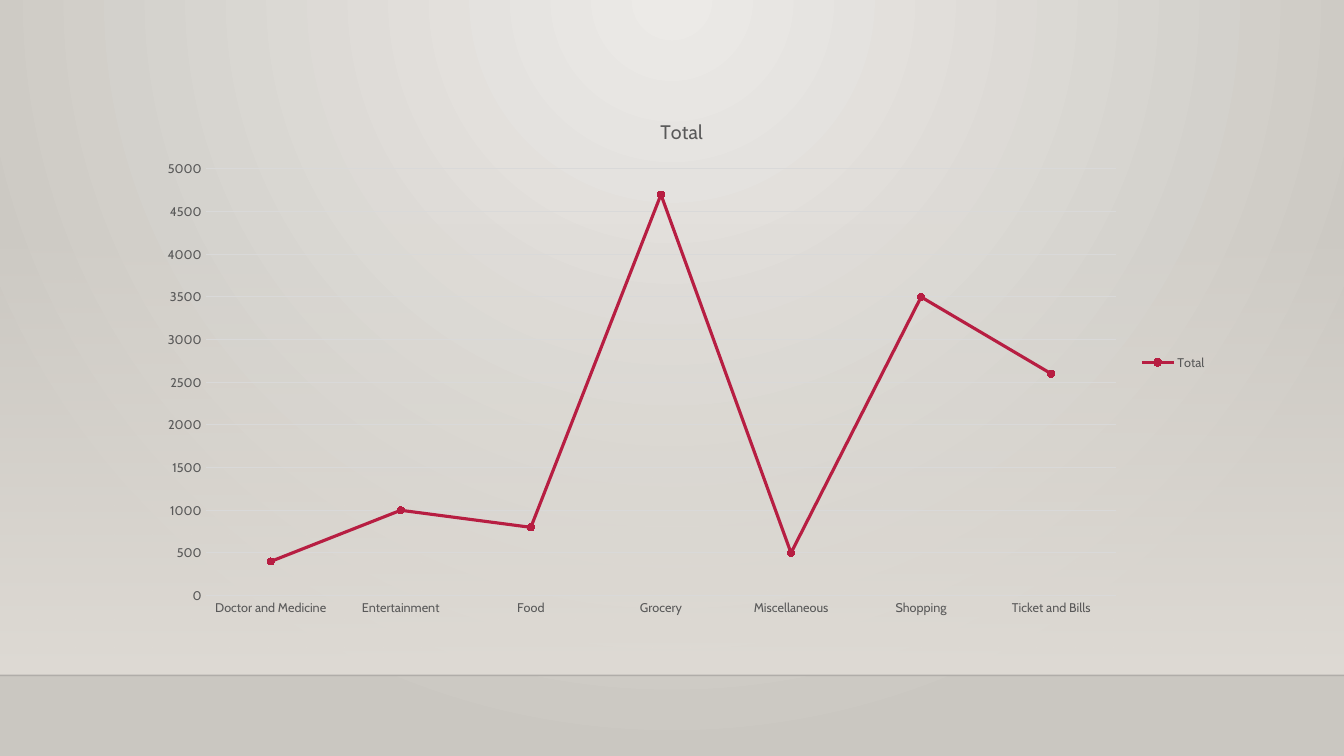
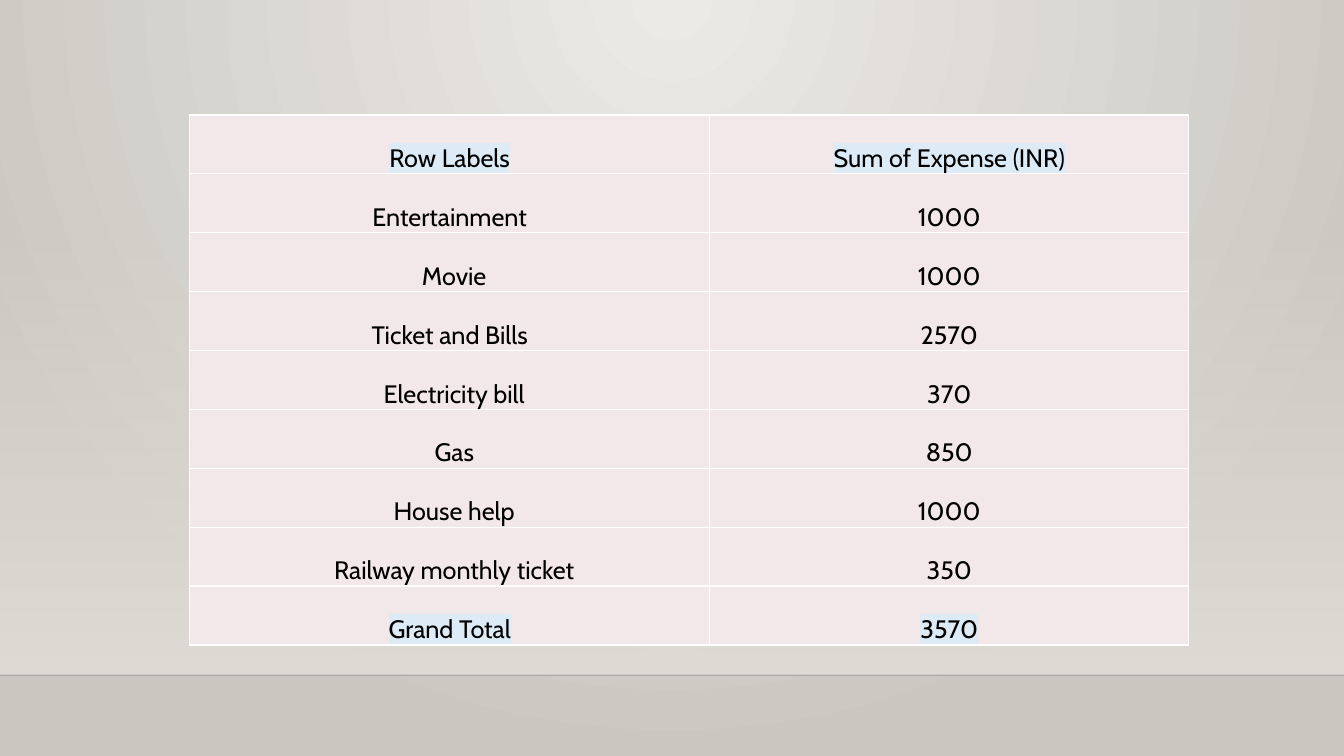
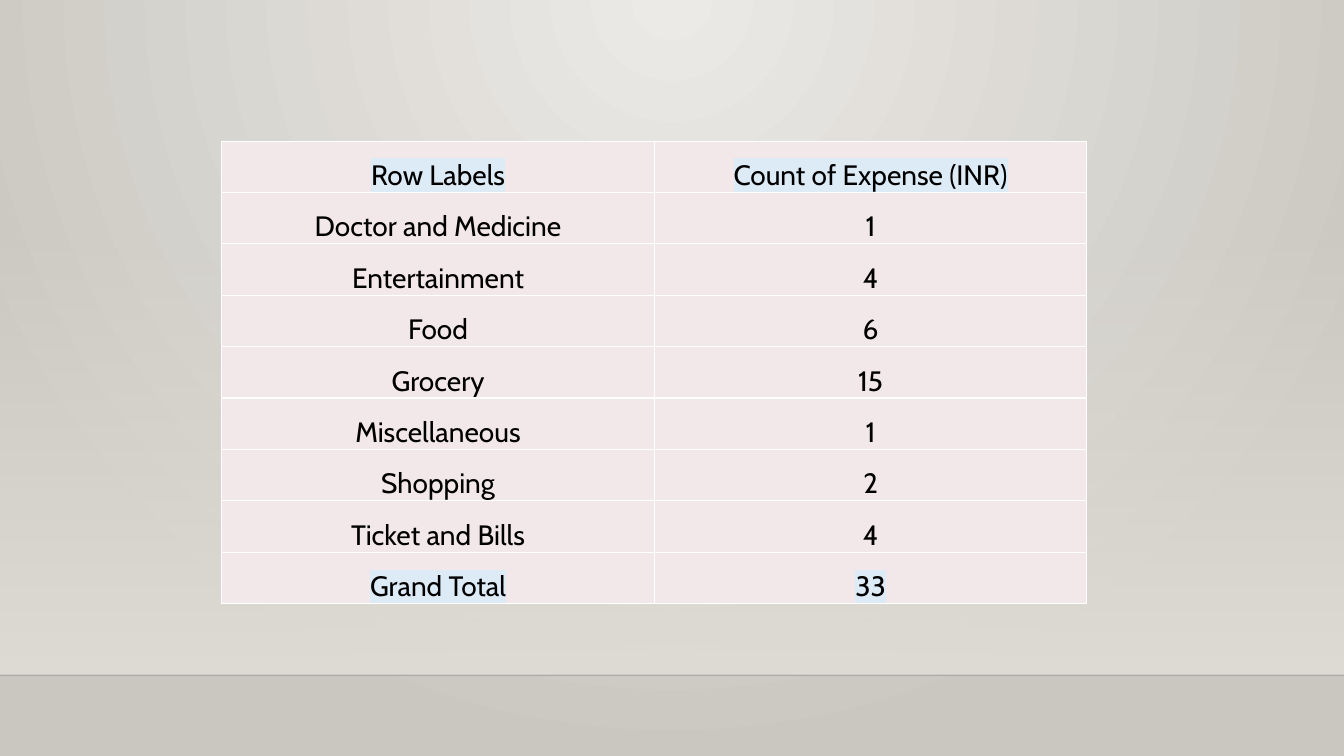
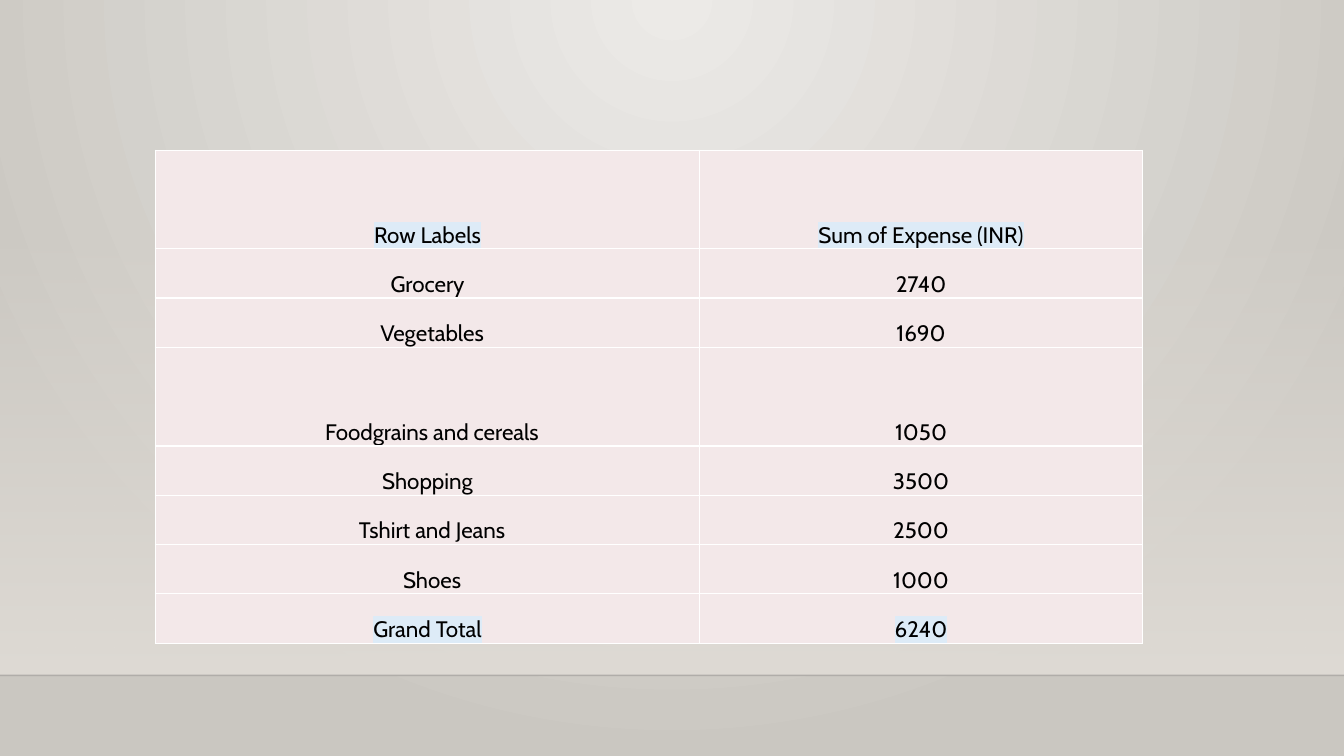
from pptx import Presentation
from pptx.chart.data import CategoryChartData
from pptx.dml.color import RGBColor
from pptx.enum.chart import XL_CHART_TYPE, XL_LEGEND_POSITION, XL_MARKER_STYLE, XL_TICK_MARK
from pptx.enum.shapes import MSO_CONNECTOR, MSO_SHAPE
from pptx.enum.text import MSO_ANCHOR, PP_ALIGN
from pptx.oxml import parse_xml
from pptx.oxml.ns import nsdecls
from pptx.util import Inches, Pt

LINE_MARKERS = XL_CHART_TYPE.LINE_MARKERS
LEGEND_RIGHT = XL_LEGEND_POSITION.RIGHT
CIRCLE = XL_MARKER_STYLE.CIRCLE
NO_TICK = XL_TICK_MARK.NONE
STRAIGHT = MSO_CONNECTOR.STRAIGHT
RECTANGLE = MSO_SHAPE.RECTANGLE
BOTTOM = MSO_ANCHOR.BOTTOM
CENTER = PP_ALIGN.CENTER

FONT = "Cabin"
COLORS = {
    "glow": "ECEAE7",
    "wall": "CAC7C1",
    "haze": "DFDBD5",
    "floor_line": "000001",
    "text": "000000",
    "muted": "595959",
    "grid": "D9D9D9",
    "accent": "B71E42",
    "cell": "F3E8E9",
    "border": "FFFFFF",
    "highlight": "DDEBF7",
}
WIDTH, HEIGHT = 13.33, 7.5
FLOOR, HAZE_TOP = 6.7, 2.21
CELL_MARGIN, INDENT = 0.01, 0.1

RADIAL = '<a:path path="circle"><a:fillToRect l="43000" t="0" r="43000" b="100000"/></a:path>'
DOWNWARD = '<a:lin ang="5400000" scaled="0"/>'


def rgb(name):
    return RGBColor.from_string(COLORS[name])


def set_font(font, size, color):
    font.name = FONT
    font.size = Pt(size)
    font.bold = False
    font.color.rgb = rgb(color)


def set_line(line, color, width):
    line.color.rgb = rgb(color)
    line.width = Pt(width)


def set_gradient(fill, owner, start, end, direction, start_alpha=100):
    """Fill with a two-stop gradient; owner is the element that holds the fill."""
    fill.solid()
    solid = owner.xpath(".//a:solidFill")[0]
    solid.getparent().replace(solid, parse_xml(
        f'<a:gradFill {nsdecls("a")} rotWithShape="1"><a:gsLst>'
        f'<a:gs pos="0"><a:srgbClr val="{COLORS[start]}">'
        f'<a:alpha val="{start_alpha * 1000}"/></a:srgbClr></a:gs>'
        f'<a:gs pos="100000"><a:srgbClr val="{COLORS[end]}"/></a:gs>'
        f'</a:gsLst>{direction}</a:gradFill>'))


def move_to_master(shape, master):
    tree = master.element.cSld.spTree
    next_id = 1 + max(int(i) for i in tree.xpath(".//p:cNvPr/@id"))
    shape.element.xpath(".//p:cNvPr")[0].set("id", str(next_id))
    tree.append(shape.element)


def build_master(master, slide):
    """Give the master its background, haze and floor line, drawn by way of a slide."""
    set_gradient(master.background.fill, master.element.cSld.bg, "glow", "wall", RADIAL)

    haze = slide.shapes.add_shape(RECTANGLE, 0, Inches(HAZE_TOP), Inches(WIDTH),
                                  Inches(FLOOR - HAZE_TOP))
    haze.shadow.inherit = False
    set_gradient(haze.fill, haze.element, "haze", "haze", DOWNWARD, start_alpha=0)
    haze.line.fill.background()

    floor = slide.shapes.add_connector(STRAIGHT, 0, Inches(FLOOR), Inches(WIDTH), Inches(FLOOR))
    set_line(floor.line, "floor_line", 1)
    floor.element.xpath(".//a:ln//a:srgbClr")[0].append(
        parse_xml(f'<a:alpha {nsdecls("a")} val="20000"/>'))
    floor.element.spPr.append(parse_xml(f'<a:effectLst {nsdecls("a")}/>'))

    for shape in (haze, floor):
        move_to_master(shape, master)


def style_axis(axis):
    axis.major_tick_mark = NO_TICK
    axis.minor_tick_mark = NO_TICK
    set_font(axis.tick_labels.font, 9, "muted")


def add_line_chart(slide, box, title, values):
    data = CategoryChartData()
    data.categories = list(values)
    data.add_series(title, values.values())
    chart = slide.shapes.add_chart(LINE_MARKERS, *map(Inches, box), data).chart
    set_font(chart.font, 10, "text")

    chart.has_title = True
    p = chart.chart_title.text_frame.paragraphs[0]
    p.text = title
    set_font(p.font, 14, "muted")
    chart.chart_title.include_in_layout = False

    chart.has_legend = True
    chart.legend.position = LEGEND_RIGHT
    chart.legend.include_in_layout = False
    set_font(chart.legend.font, 9, "muted")

    style_axis(chart.category_axis)
    set_line(chart.category_axis.format.line, "grid", 0.75)
    value_axis = chart.value_axis
    style_axis(value_axis)
    value_axis.minimum_scale, value_axis.maximum_scale, value_axis.major_unit = 0, 5000, 500
    value_axis.format.line.fill.background()
    set_line(value_axis.major_gridlines.format.line, "grid", 0.75)

    plot = chart.plots[0]
    plot.vary_by_categories = False
    series = plot.series[0]
    series.smooth = False
    set_line(series.format.line, "accent", 2.25)
    series.marker.style = CIRCLE
    series.marker.size = 5
    series.marker.format.fill.solid()
    series.marker.format.fill.fore_color.rgb = rgb("accent")
    set_line(series.marker.format.line, "accent", 0.75)


def set_borders(cell):
    tc_pr = cell._tc.get_or_add_tcPr()
    for side in "LRTB":
        tc_pr.append(parse_xml(
            f'<a:ln{side} {nsdecls("a")} w="{Pt(1)}"><a:solidFill>'
            f'<a:srgbClr val="{COLORS["border"]}"/></a:solidFill></a:ln{side}>'))


def fill_cell(cell, text, size, indented, highlighted):
    set_borders(cell)
    cell.fill.solid()
    cell.fill.fore_color.rgb = rgb("cell")
    cell.vertical_anchor = BOTTOM
    cell.margin_left = Inches(INDENT if indented else CELL_MARGIN)
    cell.margin_right = cell.margin_top = Inches(CELL_MARGIN)
    cell.margin_bottom = 0
    p = cell.text_frame.paragraphs[0]
    p.alignment = CENTER
    set_font(p.font, size, "text")
    r = p.add_run()
    r.text = text
    if highlighted:
        r.font._element.append(parse_xml(
            f'<a:highlight {nsdecls("a")}><a:srgbClr val="{COLORS["highlight"]}"/></a:highlight>'))


def add_pivot_table(slide, left, top, col_widths, height, size, rows, details=(), tall=()):
    """Labels in details are indented; those in tall get a row of double height."""
    row_height = height / (len(rows) + len(tall))
    table = slide.shapes.add_table(
        len(rows), len(col_widths), Inches(left), Inches(top),
        Inches(sum(col_widths)), Inches(height)).table
    table.first_row = table.horz_banding = False
    for column, width in zip(table.columns, col_widths):
        column.width = Inches(width)
    for i, row in enumerate(rows):
        table.rows[i].height = Inches(row_height * (2 if row[0] in tall else 1))
        for j, text in enumerate(row):
            fill_cell(table.cell(i, j), text, size,
                      indented=j == 0 and text in details,
                      highlighted=i in (0, len(rows) - 1))


def main():
    prs = Presentation()
    prs.slide_width, prs.slide_height = Inches(WIDTH), Inches(HEIGHT)
    blank = prs.slide_layouts[6]
    chart_slide, bills_slide, count_slide, shopping_slide = (
        prs.slides.add_slide(blank) for _ in range(4))
    build_master(prs.slide_master, chart_slide)

    add_line_chart(chart_slide, (1.45, 0.98, 10.62, 5.23), "Total", {
        "Doctor and Medicine": 400,
        "Entertainment": 1000,
        "Food": 800,
        "Grocery": 4700,
        "Miscellaneous": 500,
        "Shopping": 3500,
        "Ticket and Bills": 2600,
    })

    add_pivot_table(bills_slide, 1.88, 1.14, (5.16, 4.75), 5.26, 18, [
        ("Row Labels", "Sum of Expense (INR)"),
        ("Entertainment", "1000"),
        ("Movie", "1000"),
        ("Ticket and Bills", "2570"),
        ("Electricity bill", "370"),
        ("Gas", "850"),
        ("House help", "1000"),
        ("Railway monthly ticket", "350"),
        ("Grand Total", "3570"),
    ], details=("Movie", "Electricity bill", "Gas", "House help", "Railway monthly ticket"))

    add_pivot_table(count_slide, 2.2, 1.4, (4.29, 4.29), 4.59, 20, [
        ("Row Labels", "Count of Expense (INR)"),
        ("Doctor and Medicine", "1"),
        ("Entertainment", "4"),
        ("Food", "6"),
        ("Grocery", "15"),
        ("Miscellaneous", "1"),
        ("Shopping", "2"),
        ("Ticket and Bills", "4"),
        ("Grand Total", "33"),
    ])

    add_pivot_table(shopping_slide, 1.54, 1.49, (5.4, 4.39), 4.89, 16, [
        ("Row Labels", "Sum of Expense (INR)"),
        ("Grocery", "2740"),
        ("Vegetables", "1690"),
        ("Foodgrains and cereals", "1050"),
        ("Shopping", "3500"),
        ("Tshirt and Jeans", "2500"),
        ("Shoes", "1000"),
        ("Grand Total", "6240"),
    ], details=("Vegetables", "Foodgrains and cereals", "Tshirt and Jeans", "Shoes"),
        tall=("Row Labels", "Foodgrains and cereals"))

    prs.save("out.pptx")


if __name__ == "__main__":
    main()
